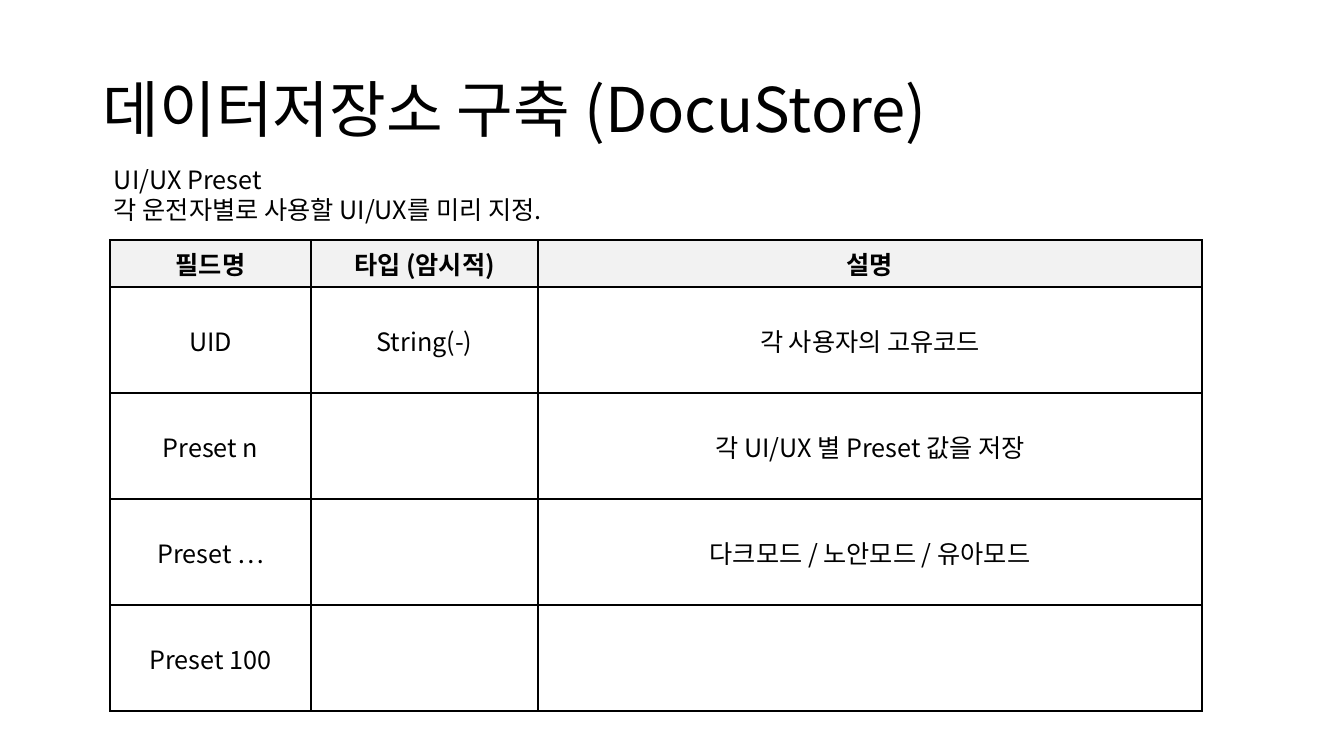
"""Build a slide that documents the preset fields of a document database."""
from lxml.etree import SubElement
from pptx import Presentation
from pptx.dml.color import RGBColor
from pptx.enum.text import MSO_ANCHOR, MSO_AUTO_SIZE, PP_ALIGN
from pptx.oxml.ns import qn
from pptx.util import Emu, Pt

SCALE = 914400 / 100.8
FONT = "Noto Sans CJK KR"
COLORS = {"text": "000000", "border": "000000", "header": "F2F2F2"}
COLUMNS = [201, 227, 664]
HEADER_HEIGHT, ROW_HEIGHT = 47, 106
FIELDS = [
    ("필드명", "타입 (암시적)", "설명"),
    ("UID", "String(-)", "각 사용자의 고유코드"),
    ("Preset n", "", "각 UI/UX 별 Preset 값을 저장"),
    ("Preset …", "", "다크모드 / 노안모드 / 유아모드"),
    ("Preset 100", "", ""),
]


def px(n):
    return Emu(round(n * SCALE))


def add_run(p, text, size, bold=False):
    r = p.add_run()
    r.text = text
    r.font.size = Pt(size)
    r.font.bold = bold
    r.font.name = FONT
    r.font.color.rgb = RGBColor.from_string(COLORS["text"])
    SubElement(r.font._element, qn("a:ea"), typeface=FONT)


def add_text(s, box, lines, size):
    tf = s.shapes.add_textbox(*map(px, box)).text_frame
    tf.word_wrap = True
    for i, line in enumerate(lines):
        p = tf.add_paragraph() if i else tf.paragraphs[0]
        add_run(p, line, size)
    return tf


def set_borders(cell):
    tc_pr = cell._tc.get_or_add_tcPr()
    for side in ("lnL", "lnR", "lnT", "lnB"):
        ln = SubElement(tc_pr, qn(f"a:{side}"), w=str(Pt(1)))
        fill = SubElement(ln, qn("a:solidFill"))
        SubElement(fill, qn("a:srgbClr"), val=COLORS["border"])


def fill_cell(cell, text, header):
    set_borders(cell)
    cell.vertical_anchor = MSO_ANCHOR.MIDDLE
    if header:
        cell.fill.solid()
        cell.fill.fore_color.rgb = RGBColor.from_string(COLORS["header"])
    else:
        cell.fill.background()
    if text:
        p = cell.text_frame.paragraphs[0]
        p.alignment = PP_ALIGN.CENTER
        add_run(p, text, 18, header)


def add_field_table(s, left, top):
    heights = [HEADER_HEIGHT] + [ROW_HEIGHT] * (len(FIELDS) - 1)
    box = (left, top, sum(COLUMNS), sum(heights))
    table = s.shapes.add_table(len(FIELDS), len(COLUMNS), *map(px, box)).table
    table.first_row = table.horz_banding = False
    for column, width in zip(table.columns, COLUMNS):
        column.width = px(width)
    for i, (row, height, texts) in enumerate(zip(table.rows, heights, FIELDS)):
        row.height = px(height)
        for cell, text in zip(row.cells, texts):
            fill_cell(cell, text, i == 0)


def main():
    prs = Presentation()
    prs.slide_width, prs.slide_height = px(1344), px(756)
    s = prs.slides.add_slide(prs.slide_layouts[6])
    title = add_text(s, (93, 40, 1159, 146), ["데이터저장소 구축 (DocuStore)"], 44)
    title.vertical_anchor = MSO_ANCHOR.MIDDLE
    title.paragraphs[0].line_spacing = 0.9
    add_field_table(s, 110, 240)
    intro = ["UI/UX Preset", "각 운전자별로 사용할 UI/UX를 미리 지정."]
    tf = add_text(s, (104, 159, 495, 72), intro, 18)
    tf.word_wrap = False
    tf.auto_size = MSO_AUTO_SIZE.SHAPE_TO_FIT_TEXT
    prs.save("out.pptx")


main()
